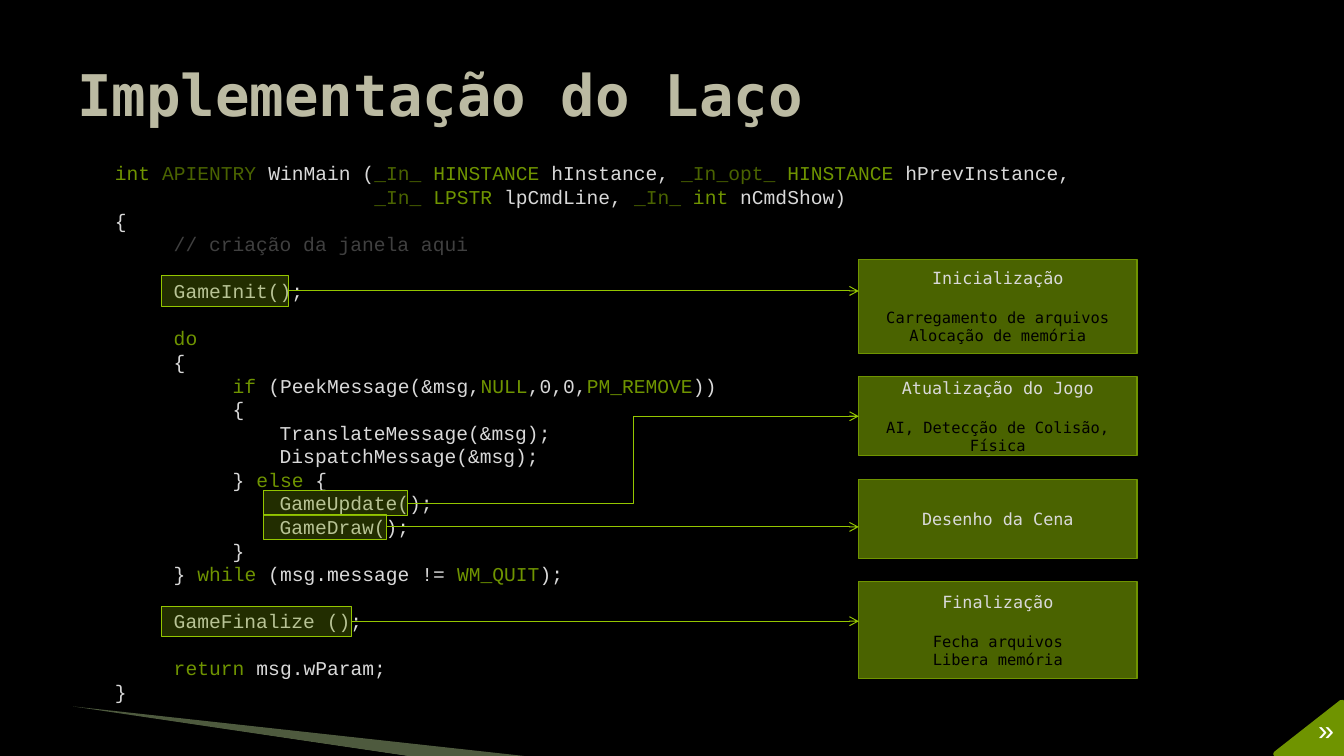
from lxml.etree import SubElement
from pptx import Presentation
from pptx.dml.color import RGBColor
from pptx.enum.shapes import MSO_CONNECTOR, MSO_SHAPE
from pptx.enum.text import MSO_ANCHOR, PP_ALIGN
from pptx.oxml.ns import qn
from pptx.util import Inches, Pt

WIDE, HIGH = Inches(13.33), Inches(7.5)
COL, ROW = Pt(8.4), Pt(16.85)
MONO, SANS = "Courier New", "DejaVu Sans Mono"
HUES = {
    "back": "000000", "title": "BBBAA2", "pale": "C3E19D", "lime": "94C600",
    "green": "6F9400", "dark": "4A6300", "light": "D9D9D9", "note": "404040",
    "white": "FFFFFF",
}
TONES = {"g": "green", "d": "dark", "w": "light", "n": "note"}
CODE = [
    "gint |dAPIENTRY |wWinMain (|d_In_ |gHINSTANCE |whInstance, "
    "|d_In_opt_ |gHINSTANCE |whPrevInstance, ",
    "w                      |d_In_ |gLPSTR |wlpCmdLine, |d_In_ |gint |wnCmdShow)",
    "w{",
    "n     // criação da janela aqui",
    "",
    "w     GameInit();",
    "",
    "g     do",
    "w     {",
    "g          if |w(PeekMessage(&msg,|gNULL|w,0,0,|gPM_REMOVE|w))",
    "w          {",
    "w              TranslateMessage(&msg);",
    "w              DispatchMessage(&msg);",
    "w          } |gelse |w{",
    "w              GameUpdate();",
    "w              GameDraw();",
    "w          }",
    "w     } |gwhile|w (msg.message != |gWM_QUIT|w);",
    "",
    "w     GameFinalize ();",
    "",
    "g     return |wmsg.wParam;",
    "w}",
]
CARDS = [
    (12.5, "Inicialização", ["Carregamento de arquivos", "Alocação de memória"]),
    (10.5, "Atualização do Jogo", ["AI, Detecção de Colisão, Física"]),
    (10.5, "Desenho da Cena", []),
    (12.9, "Finalização", ["Fecha arquivos", "Libera memória"]),
]
MARKS = [
    (5, 4, 10.8, 1.28),
    (14, 12.6, 12.25, 1.06),
    (15, 12.6, 10.45, 1.04),
    (19, 4, 16.1, 1.28),
]


def area(left, top, width, height):
    return (int(WIDE * left / 100), int(HIGH * top / 100),
            int(WIDE * width / 100), int(HIGH * height / 100))


def hue(name):
    return RGBColor.from_string(HUES[name])


def paint(shape, fill, line=None, alpha=None, width=0.75):
    shape.shadow.inherit = False
    shape.fill.solid()
    shape.fill.fore_color.rgb = hue(fill)
    if alpha:
        tint = shape.fill._xPr.find(qn("a:solidFill"))[0]
        SubElement(tint, qn("a:alpha"), val=str(alpha * 1000))
    if line:
        shape.line.color.rgb = hue(line)
        shape.line.width = Pt(width)
    else:
        shape.line.fill.background()


def style(font, face, size, tone=None, bold=False):
    font.name, font.size, font.bold = face, Pt(size), bold
    if tone:
        font.color.rgb = hue(tone)


def frame(slide, box, inset=0):
    text = slide.shapes.add_textbox(*box).text_frame
    text.word_wrap = True
    text.margin_left = text.margin_right = Inches(inset)
    text.margin_top = text.margin_bottom = Inches(inset / 2)
    return text


def outline(slide, box, spots):
    left, top, width, height = box
    path = [(int(left + x * width), int(top + y * height)) for x, y in spots]
    pen = slide.shapes.build_freeform(*path[0])
    pen.add_line_segments(path[1:], close=True)
    return pen.convert_to_shape()


def add_swoosh(slide, box):
    paint(outline(slide, box, [(0, 0), (1, 1), (0.74, 1)]), "pale", alpha=40)
    paint(outline(slide, box, [(0, 0.02), (0.74, 1), (0.58, 1)]), "back")


def add_title(slide, box):
    text = frame(slide, box, 0.1)
    text.vertical_anchor = MSO_ANCHOR.MIDDLE
    para = text.paragraphs[0]
    para.text = "Implementação do Laço"
    style(para.font, SANS, 41, "title", True)


def add_code(slide, box):
    text = frame(slide, box)
    for row, line in enumerate(CODE):
        para = text.add_paragraph() if row else text.paragraphs[0]
        para.line_spacing = ROW
        style(para.font, MONO, 14)
        for part in filter(None, line.split("|")):
            run = para.add_run()
            run.text = part[1:]
            run.font.color.rgb = hue(TONES[part[0]])


def add_card(slide, box, head, body):
    card = slide.shapes.add_shape(MSO_SHAPE.RECTANGLE, *box)
    paint(card, "dark", "green")
    text = card.text_frame
    text.word_wrap = True
    text.vertical_anchor = MSO_ANCHOR.MIDDLE
    for spot, line in enumerate([head] + body):
        para = text.add_paragraph() if spot else text.paragraphs[0]
        para.text = line
        para.alignment = PP_ALIGN.CENTER
        style(para.font, SANS, 11 if spot else 12, "back" if spot else "light")
        if spot == 1:
            para.space_before = Pt(14.5)
    return card


def add_cards(slide, box):
    left, top, width, _ = box
    cards = []
    for share, head, body in CARDS:
        high = int(HIGH * share / 100)
        cards.append(add_card(slide, (left, top, width, high), head, body))
        top += high + int(HIGH * 0.0305)
    return cards


def add_marks(slide, box):
    marks = []
    for row, col, width, high in MARKS:
        top = box[1] + (row + 0.5 - high / 2) * ROW
        spot = (box[0] + col * COL, top, width * COL, high * ROW)
        mark = slide.shapes.add_shape(MSO_SHAPE.RECTANGLE, *map(int, spot))
        paint(mark, "green", "lime", 31)
        marks.append(mark)
    return marks


def add_arrow(slide, mark, card):
    start = mark.top + mark.height // 2
    bent = not card.top < start < card.top + card.height
    end = card.top + card.height // 2 if bent else start
    kind = MSO_CONNECTOR.ELBOW if bent else MSO_CONNECTOR.STRAIGHT
    arrow = slide.shapes.add_connector(
        kind, mark.left + mark.width, start, card.left, end)
    arrow.line.color.rgb = hue("lime")
    arrow.line.width = Pt(0.75)
    SubElement(arrow.line._get_or_add_ln(), qn("a:tailEnd"), type="arrow")
    SubElement(arrow._element.spPr, qn("a:effectLst"))


def add_corner(slide, box):
    wedge = outline(slide, box, [(0, 1), (1, 0), (1, 1)])
    paint(wedge, "green", "green", width=4.33)
    left, top, width, high = box
    spot = (left + 0.5 * width, top + 0.2 * high, 0.5 * width, 0.8 * high)
    text = frame(slide, tuple(map(int, spot)))
    para = text.paragraphs[0]
    para.text = "»"
    para.alignment = PP_ALIGN.RIGHT
    style(para.font, MONO, 20, "white")
    text.margin_right = int(0.11 * width)


def main():
    deck = Presentation()
    deck.slide_width, deck.slide_height = WIDE, HIGH
    slide = deck.slides.add_slide(deck.slide_layouts[6])
    slide.background.fill.solid()
    slide.background.fill.fore_color.rgb = hue("back")
    listing = area(8.55, 21.33, 83, 73)
    add_swoosh(slide, area(5.45, 93.45, 33.55, 6.55))
    add_title(slide, area(5, 4, 90, 16.67))
    add_code(slide, listing)
    cards = add_cards(slide, area(63.9, 34.27, 20.7, 55.6))
    for mark, card in zip(add_marks(slide, listing), cards):
        add_arrow(slide, mark, card)
    add_corner(slide, area(94.97, 92.93, 4.88, 6.8))
    deck.save("out.pptx")


if __name__ == "__main__":
    main()
